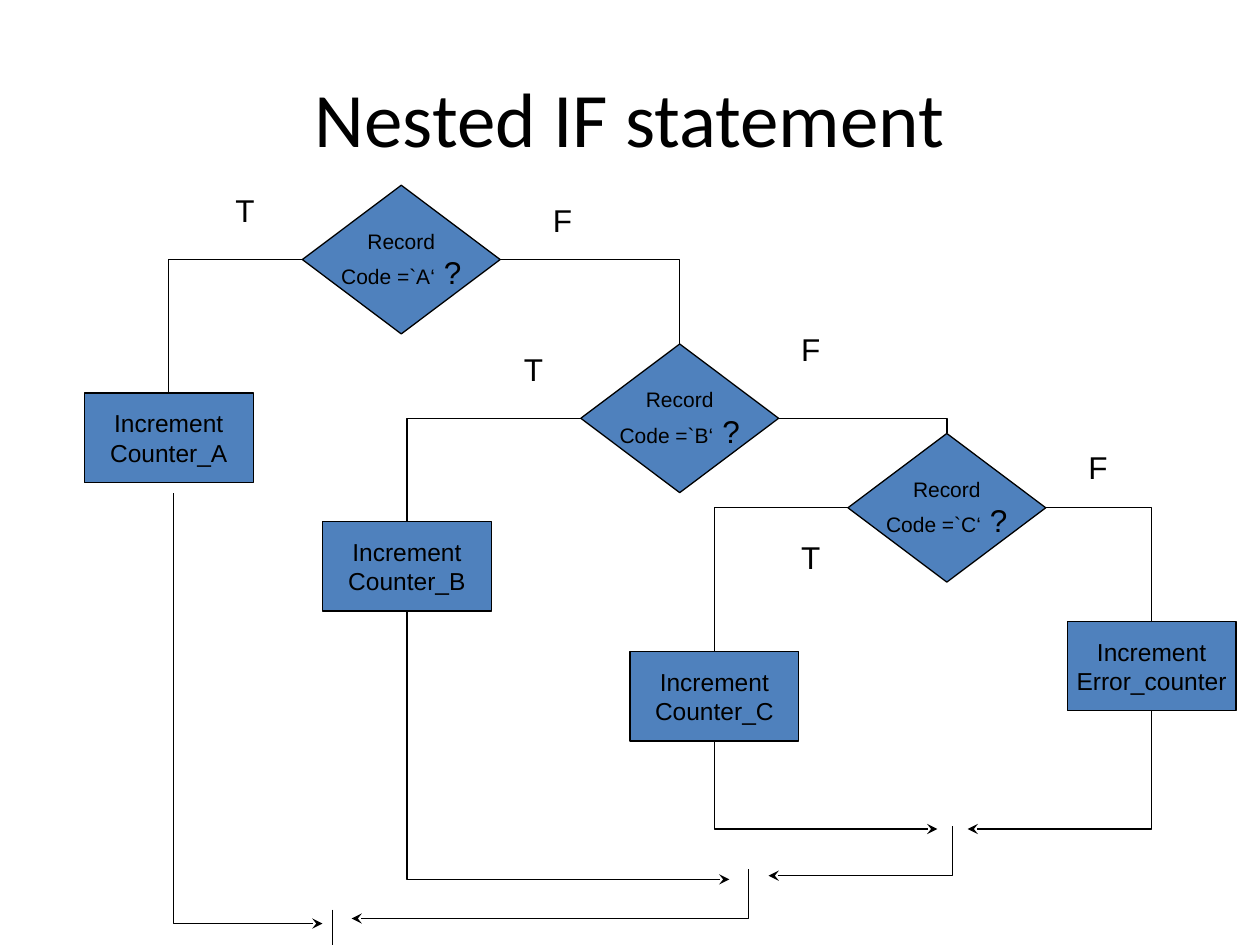
from lxml import etree
from pptx import Presentation
from pptx import util as u
from pptx.dml.color import RGBColor
from pptx.enum import shapes, text
from pptx.oxml.ns import qn

COLORS = {"fill": "4F81BD", "ink": "000000"}
TOP, LEFT, BOTTOM, RIGHT = range(4)


def color(name):
    """Return a palette colour."""
    return RGBColor.from_string(COLORS[name])


def write(tf, paragraphs, font="Arial", align=text.PP_ALIGN.CENTER):
    """Fill a text frame with paragraphs given as lists of (text, size) runs."""
    for i, runs in enumerate(paragraphs):
        p = tf.paragraphs[0] if i == 0 else tf.add_paragraph()
        p.alignment = align
        for content, size in runs:
            r = p.add_run()
            r.text = content
            r.font.name = font
            r.font.size = u.Pt(size)
            r.font.color.rgb = color("ink")


def add_title(s, content):
    """Add the centred slide title."""
    tf = s.shapes.add_textbox(u.Inches(0.5), u.Inches(0.3), u.Inches(9), u.Inches(1.25)).text_frame
    tf.word_wrap = True
    tf.vertical_anchor = text.MSO_ANCHOR.MIDDLE
    write(tf, [[(content, 44)]], "Calibri")


def add_node(s, kind, x, y, w, h, paragraphs):
    """Add a filled flowchart symbol with centred text."""
    sp = s.shapes.add_shape(kind, u.Inches(x), u.Inches(y), u.Inches(w), u.Inches(h))
    sp.shadow.inherit = False
    sp.fill.solid()
    sp.fill.fore_color.rgb = color("fill")
    sp.line.color.rgb = color("ink")
    sp.line.width = u.Pt(0.75)
    tf = sp.text_frame
    tf.word_wrap = False
    tf.vertical_anchor = text.MSO_ANCHOR.MIDDLE
    write(tf, paragraphs)
    return sp


def add_process(s, x, y, counter):
    """Add a box that increments a counter."""
    kind = shapes.MSO_SHAPE.FLOWCHART_PROCESS
    return add_node(s, kind, x, y, 1.34, 0.71, [[("Increment", 14)], [(counter, 14)]])


def add_decision(s, x, y, code):
    """Add a diamond that tests the record code."""
    kind = shapes.MSO_SHAPE.FLOWCHART_DECISION
    lines = [[("Record", 12)], [(f"Code =`{code}‘", 12), (" ?", 18)]]
    return add_node(s, kind, x, y, 1.57, 1.18, lines)


def add_label(s, x, y, content):
    """Add a branch label."""
    tf = s.shapes.add_textbox(u.Inches(x), u.Inches(y), u.Inches(0.35), u.Inches(0.4)).text_frame
    tf.word_wrap = False
    write(tf, [[(content, 18)]], align=text.PP_ALIGN.LEFT)


def add_line(s, kind, start, end):
    """Add a thin connector between two points or (shape, site) pairs."""
    points = [(0, 0) if hasattr(e[0], "shape_id") else e for e in (start, end)]
    cxn = s.shapes.add_connector(kind, *(u.Inches(v) for pt in points for v in pt))
    for e, join in ((start, cxn.begin_connect), (end, cxn.end_connect)):
        if hasattr(e[0], "shape_id"):
            join(*e)
    cxn.line.color.rgb = color("ink")
    cxn.line.width = u.Pt(0.75)
    etree.SubElement(cxn._element.spPr, qn("a:effectLst"))
    return cxn


def add_elbow(s, start, end, arrow=False):
    """Add a one-bend connector, horizontal first, with an optional arrow at its start."""
    cxn = add_line(s, shapes.MSO_CONNECTOR.ELBOW, start, end)
    cxn._element.spPr.find(qn("a:prstGeom")).set("prst", "bentConnector2")
    if arrow:
        etree.SubElement(cxn.line._get_or_add_ln(), qn("a:headEnd"), type="stealth")


def main():
    """Build the nested IF flowchart."""
    prs = Presentation()
    prs.slide_width, prs.slide_height = u.Inches(10), u.Inches(7.5)
    s = prs.slides.add_slide(prs.slide_layouts[6])
    add_title(s, "Nested IF statement")

    box_a = add_process(s, 0.67, 3.12, "Counter_A")
    box_b = add_process(s, 2.56, 4.14, "Counter_B")
    box_c = add_process(s, 5, 5.17, "Counter_C")
    box_error = add_process(s, 8.47, 4.93, "Error_counter")
    test_a = add_decision(s, 2.4, 1.47, "A")
    test_b = add_decision(s, 4.61, 2.73, "B")
    test_c = add_decision(s, 6.73, 3.44, "C")

    branches = [(test_a, box_a, test_b), (test_b, box_b, test_c), (test_c, box_c, box_error)]
    for test, if_true, if_false in branches:
        add_elbow(s, (test, LEFT), (if_true, TOP))
        add_elbow(s, (test, RIGHT), (if_false, TOP))

    merges = [
        ((7.44, 6.58), (box_c, BOTTOM)),
        ((7.68, 6.58), (box_error, BOTTOM)),
        ((6.1, 6.95), (7.56, 6.56)),
        ((5.79, 6.98), (box_b, BOTTOM)),
        ((2.79, 7.29), (5.94, 6.9)),
        ((2.56, 7.33), (1.38, 3.91)),
    ]
    for tip, source in merges:
        add_elbow(s, tip, source, arrow=True)
    add_line(s, shapes.MSO_CONNECTOR.STRAIGHT, (2.64, 7.22), (2.64, 7.77))

    labels = {
        "T": [(1.77, 1.47), (4.06, 2.73), (6.26, 4.22)],
        "F": [(4.29, 1.55), (6.26, 2.57), (8.54, 3.51)],
    }
    for content, places in labels.items():
        for x, y in places:
            add_label(s, x, y, content)
    prs.save("out.pptx")


if __name__ == "__main__":
    main()
